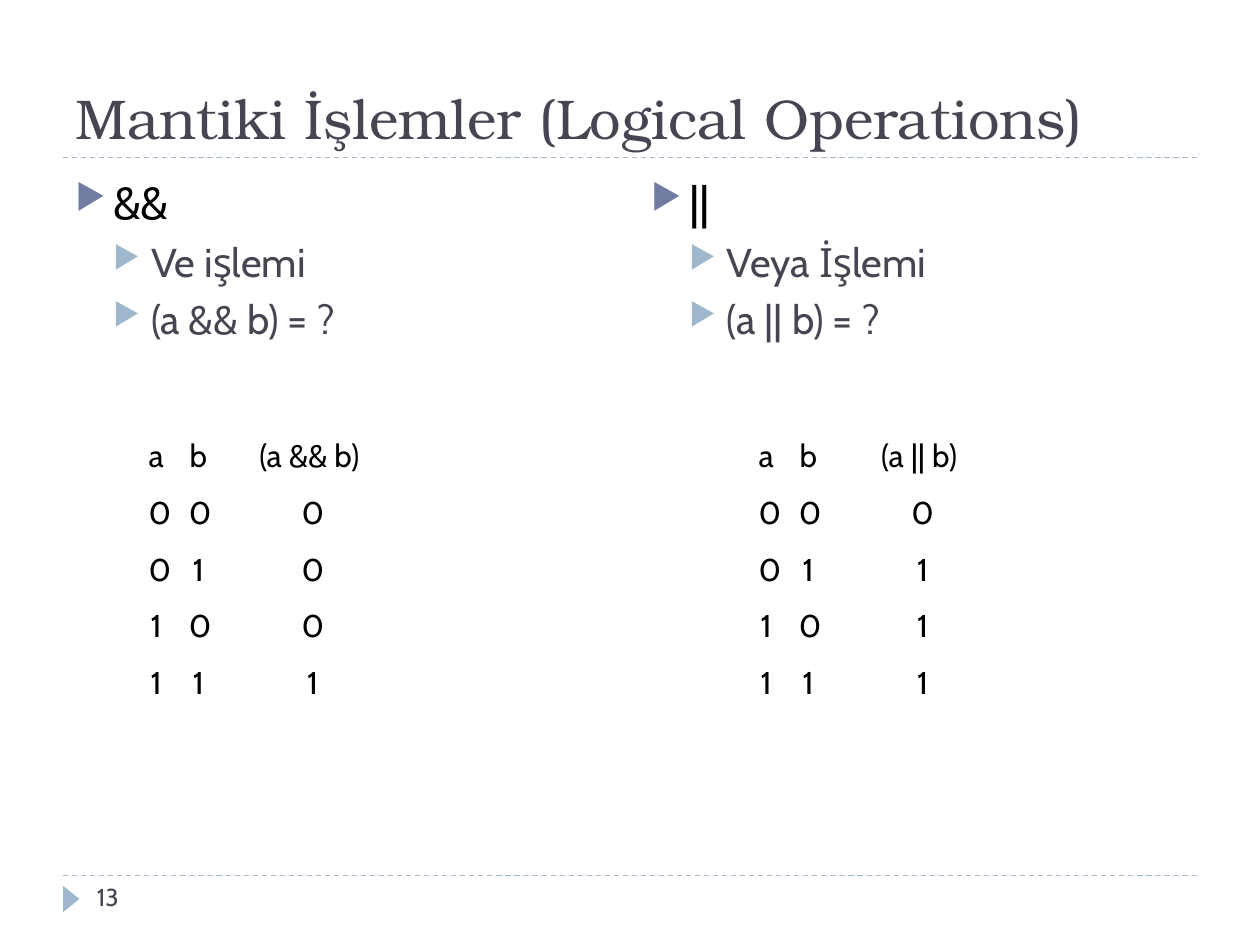
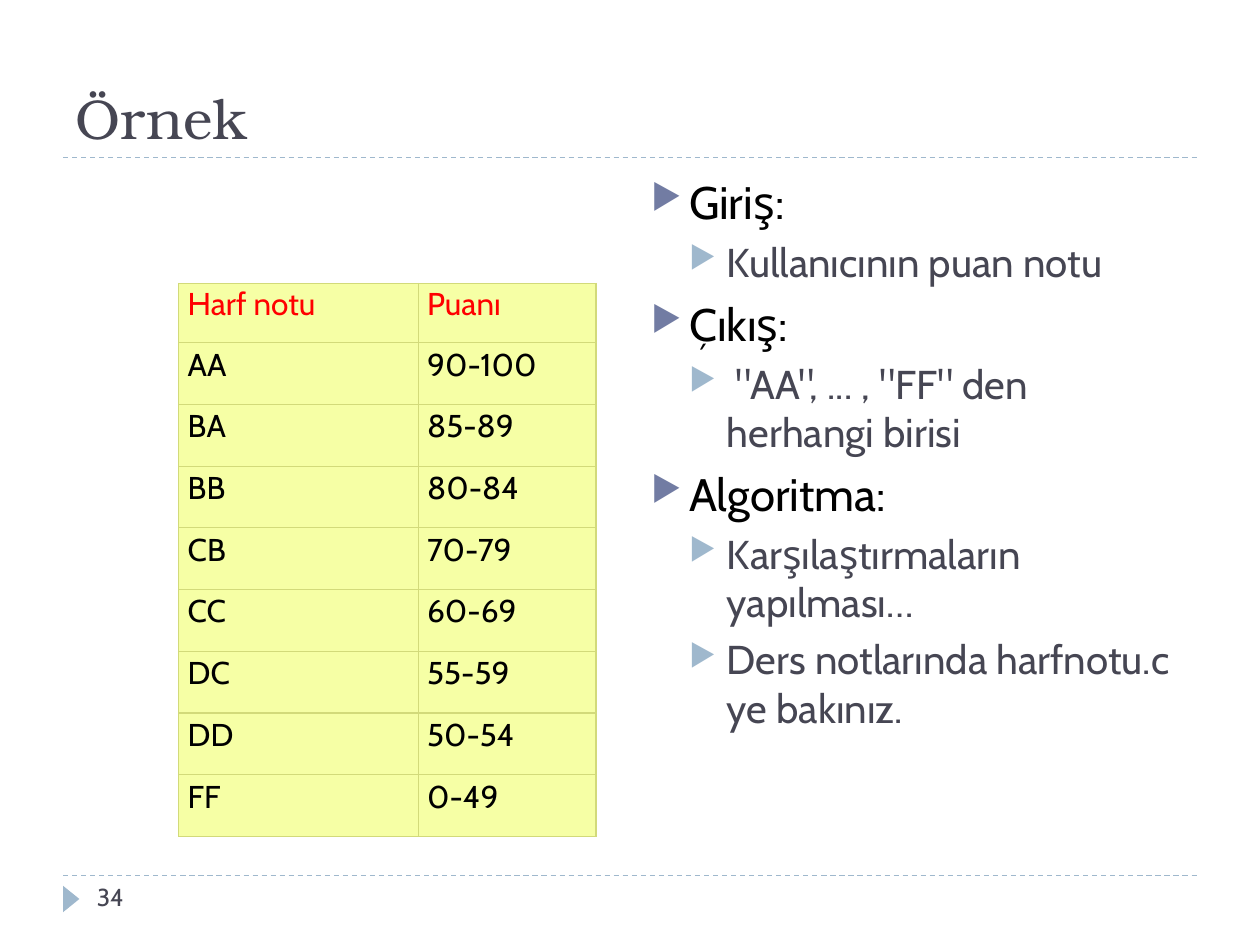
"""Builds two lecture slides: logical operations and a letter grade example."""
from dataclasses import dataclass

import lxml.etree
import pptx
import pptx.dml.color
import pptx.enum.dml
import pptx.enum.shapes
import pptx.enum.text
import pptx.oxml.ns
import pptx.presentation
import pptx.shapes.autoshape
import pptx.slide
import pptx.table
import pptx.text.text
import pptx.util

Inches = pptx.util.Inches
Pt = pptx.util.Pt
qn = pptx.oxml.ns.qn
Align = pptx.enum.text.PP_ALIGN
Anchor = pptx.enum.text.MSO_ANCHOR

TITLE_FONT = "TeX Gyre Bonum"
BODY_FONT = "Cabin"
INK = "464653"
BLACK = "000000"
RED = "FF0000"
ACCENT = "9FB8CD"
GRADE_FILL = "F6FFA5"
GRADE_BORDER = "D2DA7A"
LEFT_COLUMN = 0.5
RIGHT_COLUMN = 5.07


@dataclass(frozen=True)
class BulletLevel:
    indent: float
    space_before: int
    size: int
    color: str
    bullet_color: str


@dataclass(frozen=True)
class BulletItem:
    level: int
    text: str


@dataclass(frozen=True)
class TruthTable:
    left: float
    operator: str
    results: tuple[int, ...]


LEVELS = (
    BulletLevel(0.3, 6, 26, BLACK, "727CA3"),
    BulletLevel(0.6, 5, 23, INK, ACCENT),
)
OPERATIONS = {
    LEFT_COLUMN: (BulletItem(0, "&&"), BulletItem(1, "Ve işlemi"), BulletItem(1, "(a && b) = ?")),
    RIGHT_COLUMN: (BulletItem(0, "||"), BulletItem(1, "Veya İşlemi"), BulletItem(1, "(a || b) = ?")),
}
TRUTH_TABLES = (
    TruthTable(1.08, "&&", (0, 0, 0, 1)),
    TruthTable(5.92, "||", (0, 1, 1, 1)),
)
EXAMPLE_ITEMS = (
    BulletItem(0, "Giriş:"),
    BulletItem(1, "Kullanıcının puan notu"),
    BulletItem(0, "Çıkış:"),
    BulletItem(1, ' "AA", ... , "FF" den herhangi birisi'),
    BulletItem(0, "Algoritma:"),
    BulletItem(1, "Karşılaştırmaların yapılması…"),
    BulletItem(1, "Ders notlarında harfnotu.c ye bakınız."),
)
GRADES = [
    ("Harf notu", "Puanı"),
    ("AA", "90-100"),
    ("BA", "85-89"),
    ("BB", "80-84"),
    ("CB", "70-79"),
    ("CC", "60-69"),
    ("DC", "55-59"),
    ("DD", "50-54"),
    ("FF", "0-49"),
]


def rgb(color: str) -> pptx.dml.color.RGBColor:
    return pptx.dml.color.RGBColor.from_string(color)


def format_runs(paragraph: pptx.text.text._Paragraph, size: int, color: str, font: str = BODY_FONT) -> None:
    for run in paragraph.runs:
        run.font.size = Pt(size)
        run.font.name = font
        run.font.color.rgb = rgb(color)


def add_text_box(
    slide: pptx.slide.Slide, left: float, top: float, width: float, height: float
) -> pptx.text.text.TextFrame:
    box = slide.shapes.add_textbox(Inches(left), Inches(top), Inches(width), Inches(height))
    box.text_frame.word_wrap = True
    return box.text_frame


def add_rule(slide: pptx.slide.Slide, top: float) -> None:
    rule = slide.shapes.add_connector(
        pptx.enum.shapes.MSO_CONNECTOR.STRAIGHT, Inches(0.5), Inches(top), Inches(9.5), Inches(top)
    )
    rule.line.color.rgb = rgb(ACCENT)
    rule.line.width = Pt(0.75)
    rule.line.dash_style = pptx.enum.dml.MSO_LINE.DASH
    lxml.etree.SubElement(rule._element.spPr, qn("a:effectLst"))


def add_slide(
    presentation: pptx.presentation.Presentation, title: str, number: int
) -> pptx.slide.Slide:
    slide = presentation.slides.add_slide(presentation.slide_layouts[5])
    for top in (6.95, 1.25):
        add_rule(slide, top)
    marker = slide.shapes.add_shape(
        pptx.enum.shapes.MSO_SHAPE.ISOSCELES_TRIANGLE,
        Inches(0.46), Inches(7.07), Inches(0.21), Inches(0.13),
    )
    marker.rotation = 90
    marker.shadow.inherit = False
    marker.fill.solid()
    marker.fill.fore_color.rgb = rgb(ACCENT)
    marker.line.fill.background()

    heading = slide.shapes.title
    heading.left, heading.top = Inches(0.5), Inches(0.25)
    heading.width, heading.height = Inches(9), Inches(1)
    frame = heading.text_frame
    frame.text = title
    frame.auto_size = pptx.enum.text.MSO_AUTO_SIZE.NONE
    frame.vertical_anchor = Anchor.BOTTOM
    frame.paragraphs[0].alignment = Align.LEFT
    format_runs(frame.paragraphs[0], 32, INK, TITLE_FONT)

    number_frame = add_text_box(slide, 0.67, 6.95, 2.17, 0.4)
    number_frame.text = str(number)
    format_runs(number_frame.paragraphs[0], 14, INK)
    return slide


def add_bullet(paragraph: pptx.text.text._Paragraph, level: BulletLevel) -> None:
    properties = paragraph._p.get_or_add_pPr()
    properties.set("marL", str(Inches(level.indent)))
    properties.set("indent", str(-Inches(0.3)))
    bullet_color = lxml.etree.SubElement(properties, qn("a:buClr"))
    lxml.etree.SubElement(bullet_color, qn("a:srgbClr"), val=level.bullet_color)
    lxml.etree.SubElement(properties, qn("a:buSzPct"), val="76000")
    lxml.etree.SubElement(properties, qn("a:buChar"), char="▶")


def add_bullets(slide: pptx.slide.Slide, left: float, items: tuple[BulletItem, ...]) -> None:
    frame = add_text_box(slide, left, 1.33, 4.42, 5.4)
    for index, item in enumerate(items):
        level = LEVELS[item.level]
        paragraph = frame.add_paragraph() if index else frame.paragraphs[0]
        paragraph.text = item.text
        paragraph.level = item.level
        paragraph.space_before = Pt(level.space_before)
        add_bullet(paragraph, level)
        format_runs(paragraph, level.size, level.color)


def add_plain_table(
    slide: pptx.slide.Slide,
    left: float,
    top: float,
    widths: tuple[float, ...],
    heights: list[float],
    rows: list[tuple[str, ...]],
) -> pptx.table.Table:
    table = slide.shapes.add_table(
        len(rows), len(widths), Inches(left), Inches(top), Inches(sum(widths)), Inches(sum(heights))
    ).table
    table.first_row = False
    table.horz_banding = False
    for column, width in zip(table.columns, widths):
        column.width = Inches(width)
    for row, height, texts in zip(table.rows, heights, rows):
        row.height = Inches(height)
        for cell, text in zip(row.cells, texts):
            cell.text_frame.text = text
            cell.fill.background()
            format_runs(cell.text_frame.paragraphs[0], 18, BLACK)
    return table


def add_truth_table(slide: pptx.slide.Slide, truth: TruthTable) -> None:
    rows = [("a", "b", f"(a {truth.operator} b)")]
    for index, result in enumerate(truth.results):
        rows.append((str(index // 2), str(index % 2), f" {result}"))
    table = add_plain_table(slide, truth.left, 3.42, (0.32, 0.35, 1.41), [0.45] * len(rows), rows)
    for cell in table.iter_cells():
        cell.text_frame.paragraphs[0].alignment = Align.CENTER


def add_cell_borders(cell: pptx.table._Cell, color: str) -> None:
    properties = cell._tc.get_or_add_tcPr()
    for position, side in enumerate(("a:lnL", "a:lnR", "a:lnT", "a:lnB")):
        border = lxml.etree.Element(qn(side), w=str(Pt(0.75)))
        fill = lxml.etree.SubElement(border, qn("a:solidFill"))
        lxml.etree.SubElement(fill, qn("a:srgbClr"), val=color)
        properties.insert(position, border)


def add_grade_table(slide: pptx.slide.Slide) -> None:
    heights = [0.47] + [0.49] * (len(GRADES) - 1)
    table = add_plain_table(slide, 1.42, 2.25, (1.9, 1.41), heights, GRADES)
    for index, row in enumerate(table.rows):
        for cell in row.cells:
            cell.fill.solid()
            cell.fill.fore_color.rgb = rgb(GRADE_FILL)
            cell.vertical_anchor = Anchor.MIDDLE
            cell.margin_left = cell.margin_right = Inches(0.07)
            cell.margin_top = cell.margin_bottom = Inches(0)
            add_cell_borders(cell, GRADE_BORDER)
            paragraph = cell.text_frame.paragraphs[0]
            paragraph.line_spacing = Pt(12)
            paragraph.alignment = Align.JUSTIFY if index else Align.LEFT
            format_runs(paragraph, 18, BLACK if index else RED)


def main() -> None:
    presentation = pptx.Presentation()
    presentation.slide_width = Inches(10)
    presentation.slide_height = Inches(7.5)

    operations = add_slide(presentation, "Mantiki İşlemler (Logical Operations)", 13)
    for left, items in OPERATIONS.items():
        add_bullets(operations, left, items)
    for truth in TRUTH_TABLES:
        add_truth_table(operations, truth)

    example = add_slide(presentation, "Örnek", 34)
    add_bullets(example, RIGHT_COLUMN, EXAMPLE_ITEMS)
    add_grade_table(example)

    presentation.save("out.pptx")


if __name__ == "__main__":
    main()
